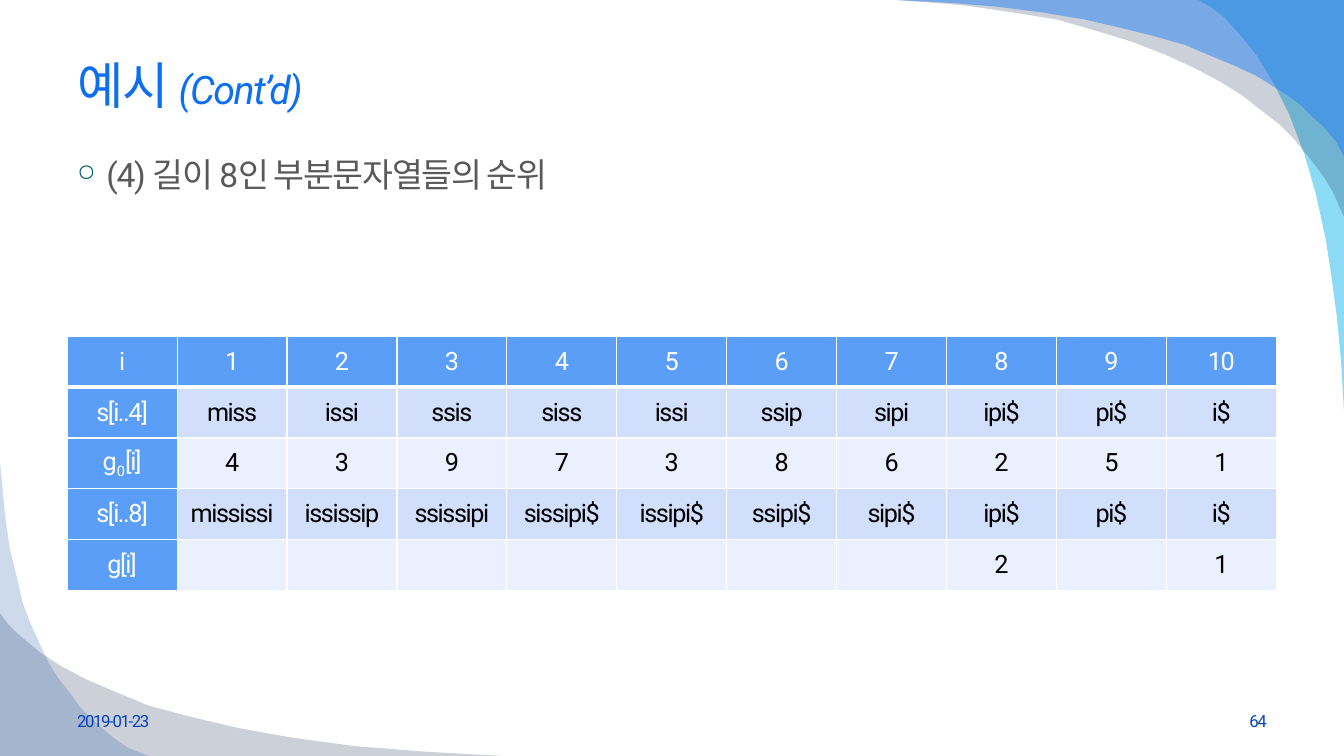
from lxml import etree
from pptx import Presentation
from pptx.dml.color import RGBColor
from pptx.enum.text import MSO_ANCHOR, PP_ALIGN
from pptx.oxml.ns import qn
from pptx.util import Pt

LEFT, CENTER, RIGHT = PP_ALIGN.LEFT, PP_ALIGN.CENTER, PP_ALIGN.RIGHT
TOP, MIDDLE = MSO_ANCHOR.TOP, MSO_ANCHOR.MIDDLE
FONT = "Roboto"
TITLE_ONLY = 5
WIDTH, HEIGHT = 960, 540
MARGIN = 48
CONTENT_WIDTH = WIDTH - 2 * MARGIN

COLORS = {
    "title": "0C6FF2", "body": "595959", "bullet": "005876", "footer": "0743BC",
    "header": "5B9EF7", "band": "D2DFFC", "light": "EAF0FD",
    "white": "FFFFFF", "black": "000000",
    "cyan": "00B1E9", "navy": "021741", "blue": "247FF4", "deep": "084AA1",
}

TOP_RIGHT, BOTTOM_LEFT = (WIDTH, 0), (0, HEIGHT)
# Corner, colour, opacity in percent, and the curve that faces the corner
SWOOSHES = [
    (TOP_RIGHT, "cyan", 45, [
        (856, 0), (865, 5), (875, 13), (886, 25), (898, 40), (909, 58), (921, 82),
        (932, 111), (940, 139), (947, 171), (951, 197), (955, 227), (958, 259), (960, 294)]),
    (TOP_RIGHT, "navy", 20, [
        (640, 0), (666, 1.5), (690, 4), (724, 9), (755, 14.5), (783, 21.5), (809, 30),
        (832, 39), (852, 48), (871, 58), (887, 68.5), (901, 79), (914, 89), (924, 99),
        (933, 109.5), (940, 119), (946, 127), (952, 137), (956, 145.5), (960, 155)]),
    (TOP_RIGHT, "blue", 49, [
        (640, 0), (678, 2), (714, 5), (745, 9), (775, 14), (801, 19.5), (825, 26),
        (846, 32.5), (865, 39.5), (882, 47), (897, 54.5), (910, 62), (921, 69),
        (930, 76.5), (938, 83.5), (945, 90), (950, 96), (955, 102), (960, 112)]),
    (BOTTOM_LEFT, "navy", 20, [
        (0, 438), (6, 446), (11.5, 452), (19.5, 459), (30, 467), (44, 476), (61, 485),
        (82, 494.5), (106.5, 503.5), (136, 512), (170, 520), (209, 527), (253.5, 533),
        (304, 537), (360, 540)]),
    (BOTTOM_LEFT, "deep", 20, [
        (0, 330), (1.5, 351), (3.5, 371), (7, 392), (11.5, 412), (16.5, 430), (22.5, 446),
        (29, 461), (35, 474), (42.5, 485), (50, 495), (57, 505), (64, 512), (73, 520.5),
        (81, 527), (91, 533.5), (106.5, 540)]),
]

RANK_ROWS = [
    ["i", *map(str, range(1, 11))],
    ["s[i..4]", "miss", "issi", "ssis", "siss", "issi", "ssip", "sipi", "ipi$", "pi$", "i$"],
    ["g0[i]", "4", "3", "9", "7", "3", "8", "6", "2", "5", "1"],
    ["s[i..8]", "mississi", "ississip", "ssissipi", "sissipi$", "issipi$", "ssipi$",
     "sipi$", "ipi$", "pi$", "i$"],
    ["g[i]", "", "", "", "", "", "", "", "2", "", "1"],
]


def color(name):
    return RGBColor.from_string(COLORS[name])


def style_paragraph(paragraph, size, color_name, alignment=LEFT):
    """Set the paragraph's font, with letters one point closer together."""
    paragraph.alignment = alignment
    font = paragraph.font
    font.name, font.size = FONT, Pt(size)
    font.color.rgb = color(color_name)
    properties = paragraph._p.get_or_add_pPr()
    properties.find(qn("a:defRPr")).set("spc", "-100")
    for run in paragraph.runs:
        run._r.get_or_add_rPr().set("spc", "-100")


def add_swoosh(slide, corner, color_name, opacity, curve):
    builder = slide.shapes.build_freeform(*corner, scale=Pt(1))
    builder.add_line_segments(curve, close=True)
    shape = builder.convert_to_shape()
    shape.shadow.inherit = False
    shape.line.fill.background()
    shape.fill.solid()
    shape.fill.fore_color.rgb = color(color_name)
    fill_color = shape.element.spPr.find(qn("a:solidFill"))[0]
    etree.SubElement(fill_color, qn("a:alpha")).set("val", str(opacity * 1000))


def place_title(slide, left, top, width, height):
    title = slide.shapes.title
    slide.shapes.element.append(title.element)  # in front of the swooshes
    title.left, title.top, title.width, title.height = map(Pt, (left, top, width, height))
    title.text_frame.vertical_anchor = MIDDLE
    paragraph = title.text_frame.paragraphs[0]
    paragraph.add_run().text = "예시 "
    continued = paragraph.add_run()
    continued.text = "(Cont’d)"
    continued.font.size, continued.font.italic = Pt(28), True
    style_paragraph(paragraph, 36, "title")


def add_text(slide, box, text, size, color_name, alignment=LEFT, anchor=MIDDLE, bullet=False):
    frame = slide.shapes.add_textbox(*map(Pt, box)).text_frame
    frame.word_wrap = True
    frame.vertical_anchor = anchor
    paragraph = frame.paragraphs[0]
    paragraph.add_run().text = text
    if bullet:
        add_bullet(paragraph)
    style_paragraph(paragraph, size, color_name, alignment)


def add_bullet(paragraph):
    properties = paragraph._p.get_or_add_pPr()
    properties.set("marL", str(Pt(21)))
    properties.set("indent", str(Pt(-21)))
    bullet_color = etree.SubElement(properties, qn("a:buClr"))
    etree.SubElement(bullet_color, qn("a:srgbClr")).set("val", COLORS["bullet"])
    etree.SubElement(properties, qn("a:buSzPct")).set("val", "70000")
    etree.SubElement(properties, qn("a:buChar")).set("char", "○")


def set_borders(cell, bottom_width):
    properties = cell._tc.get_or_add_tcPr()
    for position, side in enumerate(("lnL", "lnR", "lnT", "lnB")):
        line = etree.Element(qn(f"a:{side}"))
        line.set("w", str(Pt(bottom_width if side == "lnB" else 1)))
        fill = etree.SubElement(line, qn("a:solidFill"))
        etree.SubElement(fill, qn("a:srgbClr")).set("val", COLORS["white"])
        properties.insert(position, line)


def fill_cell(cell, text, is_heading, row):
    cell.vertical_anchor = MIDDLE
    cell.fill.solid()
    cell.fill.fore_color.rgb = color("header" if is_heading else "band" if row % 2 else "light")
    set_borders(cell, 1 if row else 3)
    paragraph = cell.text_frame.paragraphs[0]
    before, subscript, after = text.partition("0") if text.startswith("g0") else (text, "", "")
    for part in filter(None, (before, subscript, after)):
        run = paragraph.add_run()
        run.text = part
        if part == subscript:
            run._r.get_or_add_rPr().set("baseline", "-25000")
    style_paragraph(paragraph, 18, "white" if is_heading else "black", CENTER)


def add_rank_table(slide, left, top, width, height):
    row_count, column_count = len(RANK_ROWS), len(RANK_ROWS[0])
    table = slide.shapes.add_table(
        row_count, column_count, *map(Pt, (left, top, width, height))).table
    for row, texts in enumerate(RANK_ROWS):
        for column, text in enumerate(texts):
            fill_cell(table.cell(row, column), text, row == 0 or column == 0, row)


def add_footer(slide, left, top, width, height):
    part_width = 224
    add_text(slide, (left, top, part_width, height), "2019-01-23", 12, "footer")
    add_text(slide, (left + width - part_width, top, part_width, height),
             "64", 12, "footer", RIGHT)


def main():
    presentation = Presentation()
    presentation.slide_width, presentation.slide_height = Pt(WIDTH), Pt(HEIGHT)
    slide = presentation.slides.add_slide(presentation.slide_layouts[TITLE_ONLY])
    for swoosh in SWOOSHES:
        add_swoosh(slide, *swoosh)
    place_title(slide, MARGIN, 24, CONTENT_WIDTH, 72.5)
    add_text(slide, (MARGIN, 106.5, CONTENT_WIDTH, 376), "(4) 길이 8인 부분문자열들의 순위",
             24, "body", anchor=TOP, bullet=True)
    add_footer(slide, MARGIN, 500.5, CONTENT_WIDTH, 28.75)
    add_rank_table(slide, MARGIN, 240, CONTENT_WIDTH, 182)
    presentation.save("out.pptx")


if __name__ == "__main__":
    main()
